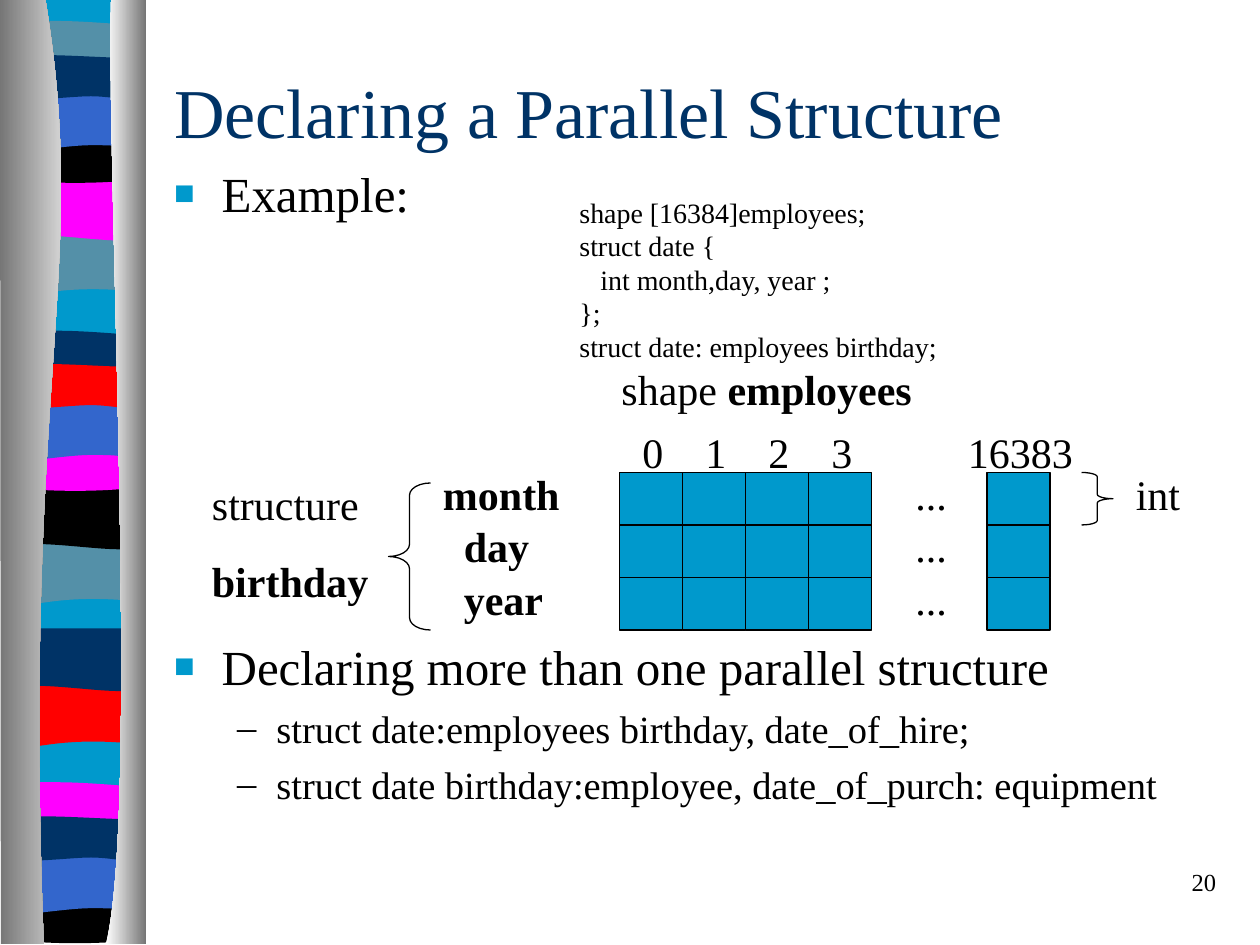
"""Build the slide "Declaring a Parallel Structure"."""
from dataclasses import dataclass

import lxml.etree
import pptx
import pptx.dml.color
import pptx.enum.shapes
import pptx.enum.text
import pptx.oxml.ns
import pptx.util

Pt = pptx.util.Pt
qn = pptx.oxml.ns.qn
Align = pptx.enum.text.PP_ALIGN
Shape = pptx.enum.shapes.MSO_SHAPE
Point = tuple[float, float]

FONT = "Times New Roman"
BLACK, NAVY, CYAN, TEAL = "000000", "003366", "0099CC", "5490A8"
BLUE, RED, MAGENTA, GREY, WHITE = "3366CC", "FF0000", "FF00FF", "767676", "FFFFFF"
STRIPE_LEFT, STRIPE_RIGHT = 4, 82
GRID_TOP, CELL_W, CELL_H = 270, 36, 30
COLUMNS = (354, 390, 426, 462, 564)


@dataclass
class Run:
    text: str
    bold: bool = False


@dataclass
class Para:
    runs: list[Run]
    size: float = 24
    color: str = BLACK
    before: float = 0
    align: Align = Align.LEFT
    bullet: str = ""
    margin: float = 0
    hang: float = 0
    bullet_color: str = BLACK
    bullet_pct: int = 100
    tabs: tuple[float, ...] = ()


@dataclass
class Wave:
    """Stripe outline: depth, bottom curve from the right, top curve from the left."""
    depth: float
    bottom: list[Point]
    top: list[Point]


@dataclass
class Stripe:
    wave: Wave
    top: float
    color: str


SAG = Wave(34, [(28, 28), (17, 40), (4, 34)], [])
SWELL = Wave(34, [(69, 40), (28, 29.5), (4, 34)], [])
LENS = Wave(17, [(69, 20), (17, 20), (4, 17)],
            [(9, -3.5), (21, -3), (34, -3), (47, -3), (72, -1), (82, 0)])
DIP = Wave(23.5, [(69, 27.5), (17, 27.5), (4, 23.5)], [(52, 3.5), (66, 0), (82, 0)])
ARCH = Wave(34, [(70, 30), (65, 30), (52, 30), (39, 30), (16, 34), (4, 34)], [])
RIPPLE = Wave(22, [(77, 26), (65, 22), (52, 22), (39, 22), (12, 26), (4, 22)],
              [(15, -3.5), (57, 0), (70, 0), (83, 0), (79, 0), (82, 0)])

STRIPES = [
    Stripe(SAG, 133, TEAL), Stripe(SWELL, 101.5, MAGENTA), Stripe(LENS, 15, TEAL),
    Stripe(DIP, 78, BLACK), Stripe(ARCH, 53, BLUE), Stripe(RIPPLE, 33, NAVY),
    Stripe(SAG, 310, TEAL), Stripe(SWELL, 278, BLACK), Stripe(LENS, 192, NAVY),
    Stripe(DIP, 254, MAGENTA), Stripe(ARCH, 230, BLUE), Stripe(RIPPLE, 209.5, RED),
    Stripe(SAG, 391.5, RED), Stripe(SWELL, 359, NAVY), Stripe(LENS, 450, MAGENTA),
    Stripe(DIP, 512.5, BLACK), Stripe(ARCH, 489, BLUE), Stripe(RIPPLE, 468, NAVY),
]


def rgb(color: str) -> pptx.dml.color.RGBColor:
    return pptx.dml.color.RGBColor.from_string(color)


def fill_solid(sp, color: str) -> None:
    sp.fill.solid()
    sp.fill.fore_color.rgb = rgb(color)


def curves(controls: list[Point]) -> list[list[Point]]:
    return [controls[i:i + 3] for i in range(0, len(controls), 3)]


def add_outline(s, start: Point, steps: list[list[Point]]):
    """Closed outline whose steps hold one point for a line or three for a cubic curve."""
    builder = s.shapes.build_freeform(Pt(start[0]), Pt(start[1]), scale=1.0)
    builder.add_line_segments([(Pt(x), Pt(y)) for step in steps for x, y in step], close=True)
    sp = builder.convert_to_shape()
    sp.shadow.inherit = False
    sp.line.fill.background()
    lines = iter(list(sp.element.iter(qn("a:lnTo"))))
    for step in steps:
        group = [next(lines) for _ in step]
        if len(step) == 3:
            cubic = lxml.etree.Element(qn("a:cubicBezTo"))
            group[0].addprevious(cubic)
            for line in group:
                cubic.append(line[0])
                line.getparent().remove(line)
    return sp


def add_stripe(s, stripe: Stripe) -> None:
    wave = stripe.wave
    steps = curves(wave.bottom) + [[(STRIPE_LEFT, 0)]] + curves(wave.top)
    if not wave.top:
        steps.append([(STRIPE_RIGHT, 0)])
    placed = [[(x, stripe.top + y) for x, y in step] for step in steps]
    fill_solid(add_outline(s, (STRIPE_RIGHT, stripe.top + wave.depth), placed), stripe.color)


def add_pillar(s, start: Point, steps: list[list[Point]], colors: tuple[str, str]) -> None:
    sp = add_outline(s, start, steps)
    sp.fill.gradient()
    sp.fill.gradient_angle = 0
    for stop, color in zip(sp.fill.gradient_stops, colors):
        stop.color.rgb = rgb(color)


def add_preset(s, kind: Shape, left: float, top: float, width: float, height: float,
               fill: str = ""):
    sp = s.shapes.add_shape(kind, Pt(left), Pt(top), Pt(width), Pt(height))
    sp.shadow.inherit = False
    sp.line.color.rgb = rgb(BLACK)
    sp.line.width = Pt(0.75)
    if fill:
        fill_solid(sp, fill)
    else:
        sp.fill.background()
    return sp


def add_bullet(p, para: Para) -> None:
    pPr = p._p.get_or_add_pPr()
    pPr.set("marL", str(Pt(para.margin)))
    pPr.set("indent", str(Pt(-para.hang)))
    clr = lxml.etree.SubElement(pPr, qn("a:buClr"))
    lxml.etree.SubElement(clr, qn("a:srgbClr"), val=para.bullet_color)
    lxml.etree.SubElement(pPr, qn("a:buSzPct"), val=str(para.bullet_pct * 1000))
    lxml.etree.SubElement(pPr, qn("a:buFont"), typeface=FONT)
    lxml.etree.SubElement(pPr, qn("a:buChar"), char=para.bullet)


def add_tabs(p, tabs: tuple[float, ...]) -> None:
    tab_list = lxml.etree.SubElement(p._p.get_or_add_pPr(), qn("a:tabLst"))
    for tab in tabs:
        lxml.etree.SubElement(tab_list, qn("a:tab"), pos=str(Pt(tab)), algn="l")


def add_text(s, left: float, top: float, width: float, height: float, paras: list[Para]):
    tf = s.shapes.add_textbox(Pt(left), Pt(top), Pt(width), Pt(height)).text_frame
    tf.word_wrap = True
    for i, para in enumerate(paras):
        p = tf.add_paragraph() if i else tf.paragraphs[0]
        if para.bullet:
            add_bullet(p, para)
        if para.tabs:
            add_tabs(p, para.tabs)
        p.alignment = para.align
        p.space_before = Pt(para.before)
        for run in para.runs:
            r = p.add_run()
            r.text = run.text
            r.font.name, r.font.size, r.font.bold = FONT, Pt(para.size), run.bold
            r.font.color.rgb = rgb(para.color)
    return tf


def item(text: str, before: float = 0) -> Para:
    return Para([Run(text)], 28, before=before, bullet="■", margin=27.2, hang=27.2,
                bullet_color=CYAN, bullet_pct=70)


def subitem(text: str) -> Para:
    return Para([Run(text)], 22, before=5.5, bullet="–", margin=58.5, hang=22.5)


def draw_border(s) -> None:
    base = [[(STRIPE_RIGHT, 538)], [(STRIPE_LEFT, 538)], [(STRIPE_LEFT, 0)]]
    fill_solid(add_outline(s, (STRIPE_RIGHT, 0), base), CYAN)
    for stripe in STRIPES:
        add_stripe(s, stripe)
    add_pillar(s, (26, 0), [[(51.5, 156), (12.5, 213), (25, 539.5)], [(0.5, 539.5)], [(0, 0)]],
               (GREY, WHITE))
    add_pillar(s, (63.5, 0), [[(60.5, 90), (80, 465), (60.5, 539.5)], [(83.5, 539.5)],
                              [(83.5, 0)]], (WHITE, GREY))


def draw_grid(s) -> None:
    for row, (field, left) in enumerate((("month", 246), ("day", 258), ("year", 258))):
        for column in COLUMNS:
            add_preset(s, Shape.RECTANGLE, column, GRID_TOP + row * CELL_H, CELL_W, CELL_H, CYAN)
        top = GRID_TOP - 6 + row * CELL_H
        add_text(s, 516, top, 48, 36, [Para([Run("...")])])
        add_text(s, left, top, 66 if row else 90, 36, [Para([Run(field, True)])])
    add_text(s, 360, 240, 282, 36, [Para([Run("0\t1\t2\t3\t16383")], tabs=(36, 72, 108, 186))])
    add_preset(s, Shape.RIGHT_BRACE, 618, 270, 18, 30).adjustments[0] = 0.14
    add_preset(s, Shape.LEFT_BRACE, 222, 276, 24, 84).adjustments[0] = 0.29


def main() -> None:
    prs = pptx.Presentation()
    prs.slide_width, prs.slide_height = Pt(720), Pt(540)
    s = prs.slides.add_slide(prs.slide_layouts[6])
    draw_border(s)
    title = [Para([Run("Declaring a Parallel Structure")], 40, NAVY)]
    add_text(s, 92.4, 36, 612, 54, title).vertical_anchor = pptx.enum.text.MSO_ANCHOR.MIDDLE
    add_text(s, 92.4, 90, 612, 390, [
        item("Example:"), item("Declaring more than one parallel structure", 236.5),
        subitem("struct date:employees birthday, date_of_hire;"),
        subitem("struct date birthday:employee, date_of_purch: equipment")])
    draw_grid(s)
    add_text(s, 348, 204, 228, 36, [Para([Run("shape "), Run("employees", True)])])
    add_text(s, 642, 264, 42, 36, [Para([Run("int")])])
    code = ("shape [16384]employees;", "struct date {", "   int month,day, year ;", "};",
            "struct date: employees birthday;")
    add_text(s, 324, 108, 342, 104, [Para([Run(line)], 16) for line in code])
    add_text(s, 114, 270, 126, 80, [Para([Run("structure")]),
                                    Para([Run("birthday", True)], before=15)])
    add_text(s, 552, 492, 150, 36, [Para([Run("20")], 14, align=Align.RIGHT)])
    prs.save("out.pptx")


if __name__ == "__main__":
    main()
